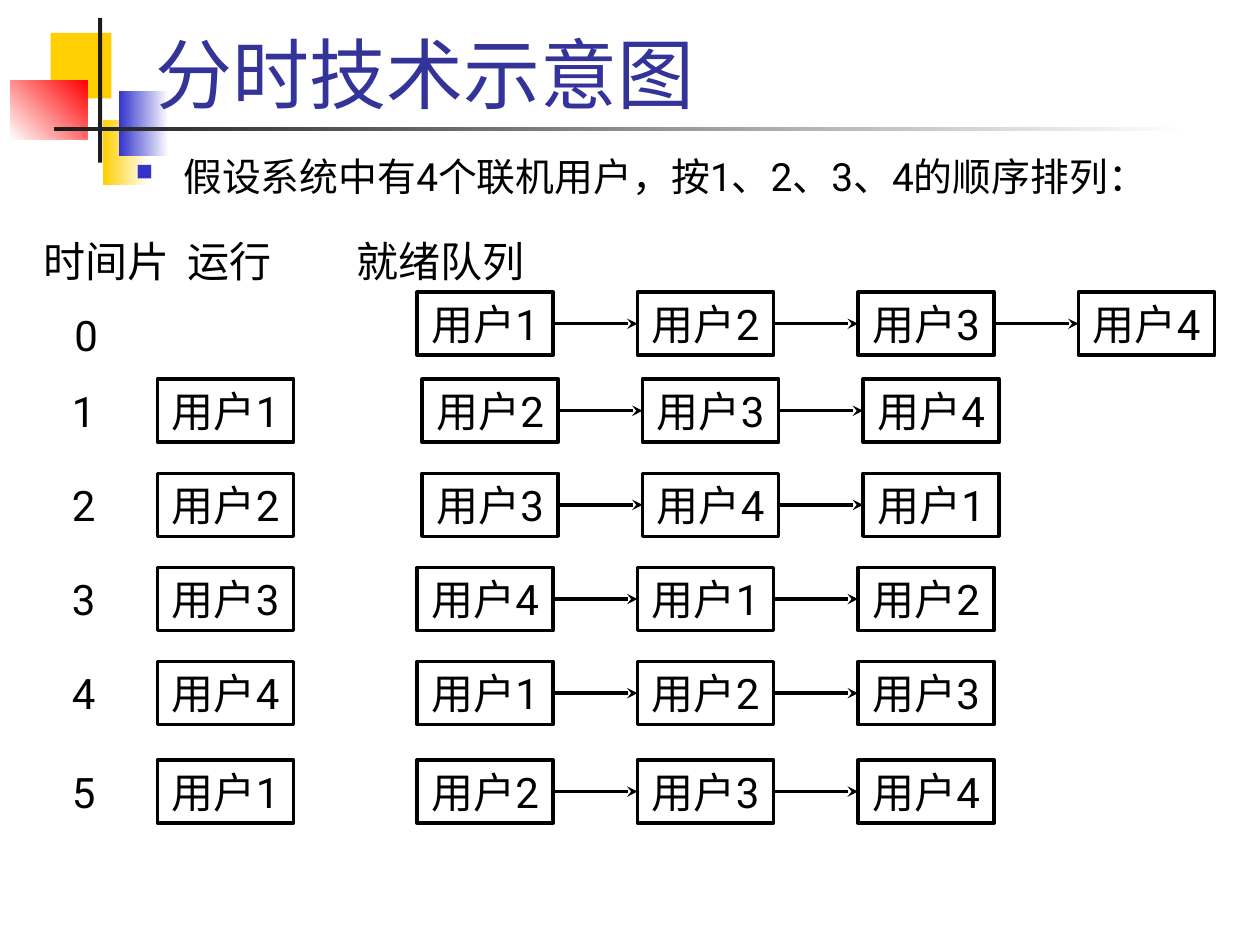
from lxml import etree
from pptx import Presentation
from pptx.dml.color import RGBColor
from pptx.enum.shapes import MSO_CONNECTOR, MSO_SHAPE
from pptx.enum.text import MSO_ANCHOR, PP_ALIGN
from pptx.oxml.ns import qn
from pptx.util import Pt

RECT, STRAIGHT = MSO_SHAPE.RECTANGLE, MSO_CONNECTOR.STRAIGHT
MIDDLE, BOTTOM, TOP = MSO_ANCHOR.MIDDLE, MSO_ANCHOR.BOTTOM, MSO_ANCHOR.TOP
LEFT, CENTER = PP_ALIGN.LEFT, PP_ALIGN.CENTER

COLORS = {
    "yellow": "FFCF01",
    "blue": "3333CC",
    "red": "FF0000",
    "white": "FFFFFF",
    "ink": "1C1C1C",
    "title": "333399",
    "text": "000000",
}
RGB = {name: RGBColor.from_string(value) for name, value in COLORS.items()}
USERS = 4
BOX_WIDTH, BOX_HEIGHT = 77.8, 36
QUEUE_STEP = 126

prs = Presentation()
prs.slide_width, prs.slide_height = Pt(720), Pt(540)
slide = prs.slides.add_slide(prs.slide_layouts[6])
shapes = slide.shapes


def write(shape, text, size=24, color="text", anchor=MIDDLE, align=CENTER, wrap=False):
    """Put one formatted paragraph into a shape and return the paragraph."""
    frame = shape.text_frame
    frame.word_wrap = wrap
    frame.vertical_anchor = anchor
    paragraph = frame.paragraphs[0]
    paragraph.alignment = align
    run = paragraph.add_run()
    run.text = text
    for key, value in {"name": "Roboto", "size": Pt(size)}.items():
        setattr(run.font, key, value)
    run.font.color.rgb = RGB[color]
    return paragraph


def add_user(user, left, top):
    box = shapes.add_shape(RECT, Pt(left), Pt(top), Pt(BOX_WIDTH), Pt(BOX_HEIGHT))
    box.shadow.inherit = False
    box.fill.background()
    box.line.color.rgb = RGB["text"]
    box.line.width = Pt(2)
    write(box, f"用户{user}")
    return box


# Corner ornament: left, top, width, height, start colour, end colour, angle
ornament = [
    (29, 18.8, 34.6, 37.4, "yellow", None, 0),
    (59, 68.5, 26, 37.4, "yellow", "white", 0),
    (67.9, 51.9, 28.6, 37.4, "blue", "white", 0),
    (5.8, 45.9, 44, 33.9, "white", "red", 45),
    (56, 10.2, 2.4, 82.8, "ink", None, 0),
    (31, 72.6, 648, 2.2, "ink", "white", 0),
]
for left, top, width, height, start, end, angle in ornament:
    block = shapes.add_shape(RECT, Pt(left), Pt(top), Pt(width), Pt(height))
    block.shadow.inherit = False
    block.line.fill.background()
    if end is None:
        block.fill.solid()
        block.fill.fore_color.rgb = RGB[start]
    else:
        block.fill.gradient()
        block.fill.gradient_angle = angle
        for stop, name in zip(block.fill.gradient_stops, (start, end)):
            stop.color.rgb = RGB[name]

# Title, premise and column headings
title = shapes.add_textbox(Pt(82), Pt(15.1), Pt(618.5), Pt(56.2))
write(title, "分时技术示意图", 44, "title", BOTTOM, LEFT, True)

premise = shapes.add_textbox(Pt(70.6), Pt(88.6), Pt(629.3), Pt(39.6))
premise_line = write(premise, "假设系统中有4个联机用户，按1、2、3、4的顺序排列：",
                     22.2, "text", TOP, LEFT, True)
premise_line.line_spacing = 0.8
premise_props = premise_line._p.get_or_add_pPr()
premise_props.set("marL", str(Pt(27)))
premise_props.set("indent", str(Pt(-27)))
bullet_color = etree.SubElement(premise_props, qn("a:buClr"))
etree.SubElement(bullet_color, qn("a:srgbClr"), val=COLORS["blue"])
etree.SubElement(premise_props, qn("a:buSzPct"), val="60000")
etree.SubElement(premise_props, qn("a:buChar"), char="■")

headings = shapes.add_textbox(Pt(18), Pt(131), Pt(668), Pt(36))
heading_line = write(headings, "时间片\t运行\t就绪队列", align=LEFT, wrap=True)
heading_tabs = etree.SubElement(heading_line._p.get_or_add_pPr(), qn("a:tabLst"))
for position in (82, 178.5):
    etree.SubElement(heading_tabs, qn("a:tab"), pos=str(Pt(position)), algn="l")

# Time slices: label left, label top, row top, left edge of the ready queue
slices = [
    (25.2, 173.5, 167, 238.3),
    (23.8, 216.7, 216.7, 241.2),
    (23.8, 270.5, 270.5, 241.2),
    (23.8, 324.3, 324.3, 238.3),
    (23.8, 378.1, 378.1, 238.3),
    (23.8, 434.3, 434.3, 238.3),
]
for number, (label_left, label_top, top, queue_left) in enumerate(slices):
    label = shapes.add_textbox(Pt(label_left), Pt(label_top), Pt(48), Pt(36))
    write(label, str(number))

    # Each slice runs the head of the previous queue; the others wait in turn
    if number:
        add_user((number - 1) % USERS + 1, 90, top)
        waiting = [(number + place) % USERS + 1 for place in range(USERS - 1)]
    else:
        waiting = range(1, USERS + 1)
    queue = [add_user(user, queue_left + place * QUEUE_STEP, top)
             for place, user in enumerate(waiting)]

    for ahead, behind in zip(queue, queue[1:]):
        arrow = shapes.add_connector(STRAIGHT, 0, 0, 0, 0)
        arrow.begin_connect(ahead, 3)
        arrow.end_connect(behind, 1)
        arrow.line.color.rgb = RGB["text"]
        arrow.line.width = Pt(2)
        etree.SubElement(arrow.line._get_or_add_ln(), qn("a:tailEnd"), type="stealth")
        etree.SubElement(arrow._element.spPr, qn("a:effectLst"))

prs.save("out.pptx")
